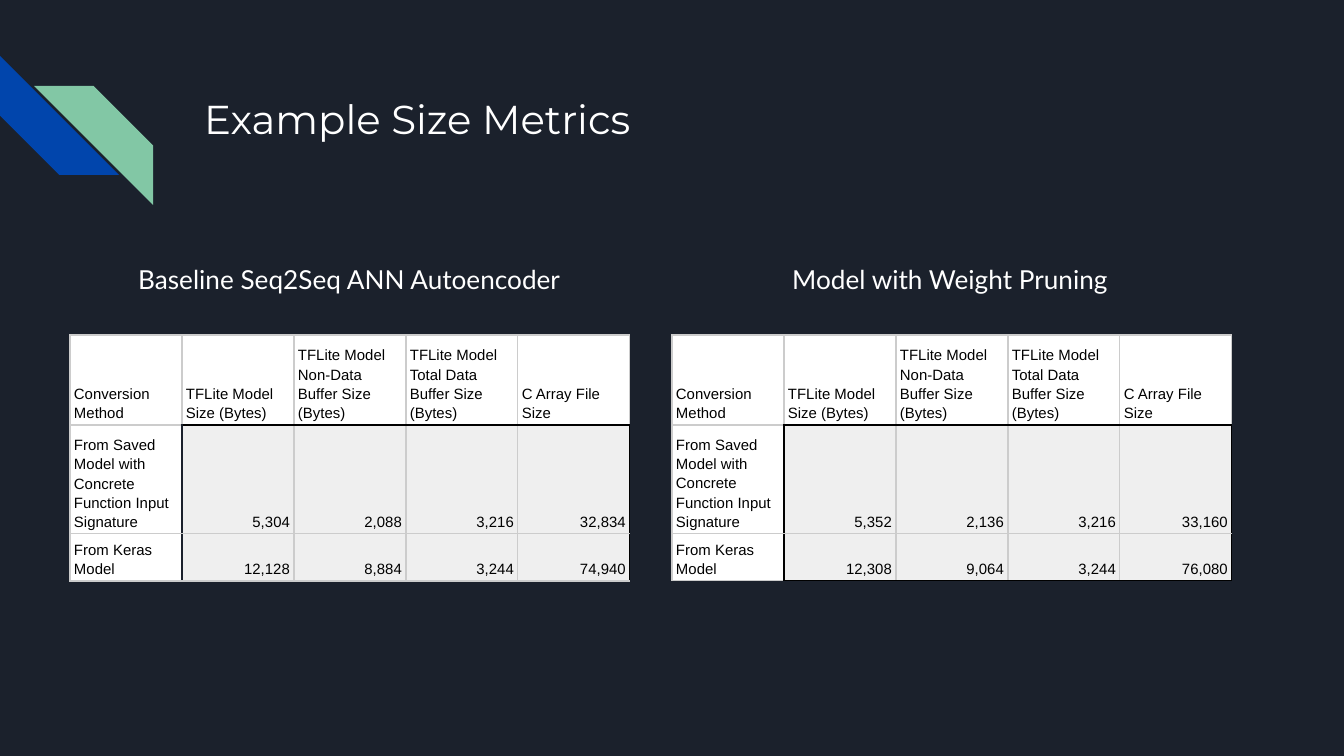
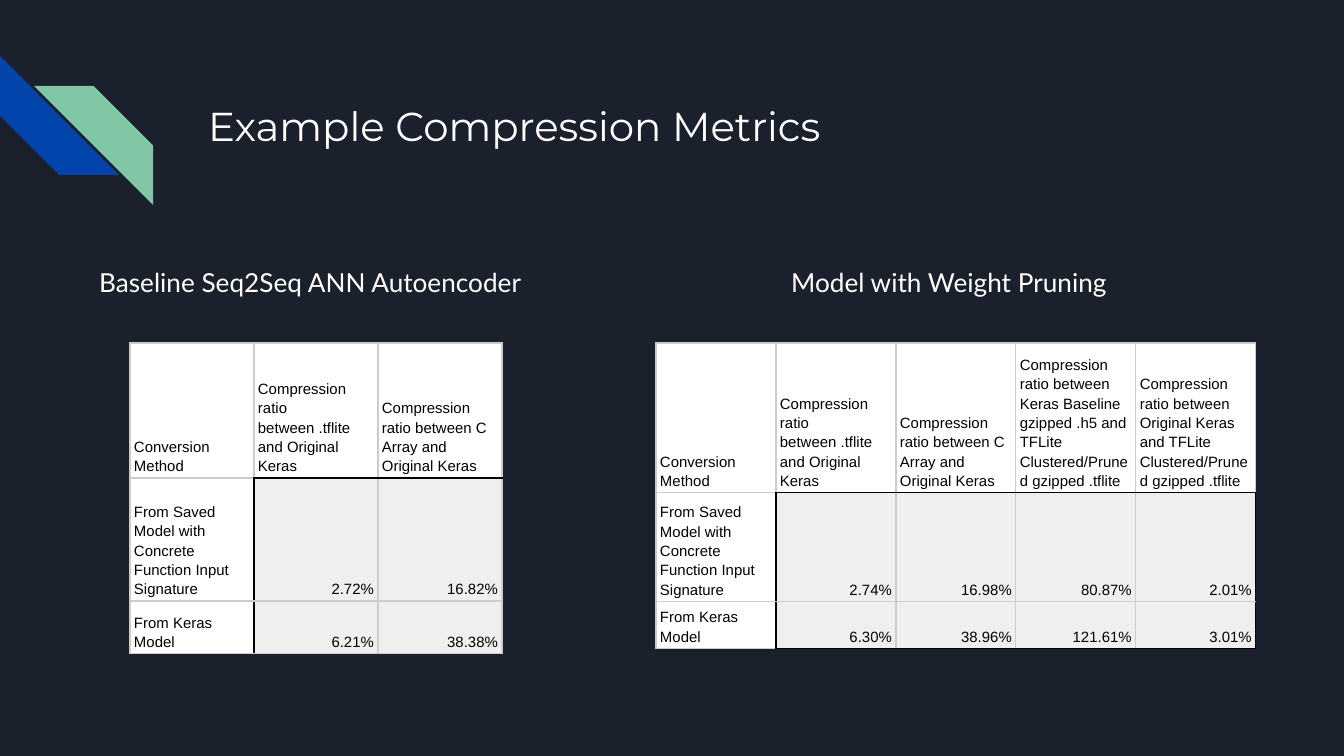
import lxml.etree
import pptx
import pptx.dml.color
import pptx.enum.shapes
import pptx.enum.text
import pptx.oxml.ns
import pptx.util

PX = 914400 / 134.4  # EMU in one pixel

RGBColor = pptx.dml.color.RGBColor
NAVY = RGBColor(0x1B, 0x21, 0x2C)
BLUE = RGBColor(0x01, 0x45, 0xAC)
GREEN = RGBColor(0x82, 0xC7, 0xA5)
WHITE = RGBColor(0xFF, 0xFF, 0xFF)
BLACK = RGBColor(0x00, 0x00, 0x00)
RULE = RGBColor(0xCC, 0xCC, 0xCC)
SHADE = RGBColor(0xEF, 0xEF, 0xEF)

METHOD = "Conversion Method"
SAVED_MODEL = "From Saved Model with Concrete Function Input Signature"
KERAS_MODEL = "From Keras Model"
BASELINE = "Baseline Seq2Seq ANN Autoencoder"
PRUNED = "Model with Weight Pruning"

SIZE_HEADER = [
    METHOD,
    "TFLite Model Size (Bytes)",
    "TFLite Model Non-Data Buffer Size (Bytes)",
    "TFLite Model Total Data Buffer Size (Bytes)",
    "C Array File Size",
]
RATIO_HEADER = [
    METHOD,
    "Compression ratio between .tflite and Original Keras",
    "Compression ratio between C Array and Original Keras",
]
GZIP_HEADER = [
    "Compression ratio between Keras Baseline gzipped .h5 and TFLite Clustered/Pruned gzipped .tflite",
    "Compression ratio between Original Keras and TFLite Clustered/Pruned gzipped .tflite",
]

# edges: colours right of the method column, right of the table, below the table
SLIDES = [
    {
        "title": ("Example Size Metrics", 191, 81),
        "heading_top": 250,
        "table_top": 335,
        "metrics": [
            {
                "heading": (PRUNED, 779, 346),
                "left": 672, "column": 112, "heights": [90, 102, 45],
                "edges": (BLACK, BLACK, BLACK),
                "rows": [
                    SIZE_HEADER,
                    [SAVED_MODEL, "5,352", "2,136", "3,216", "33,160"],
                    [KERAS_MODEL, "12,308", "9,064", "3,244", "76,080"],
                ],
            },
            {
                "heading": (BASELINE, 125, 450),
                "left": 70, "column": 112, "heights": [90, 109, 46],
                "edges": (NAVY, BLACK, RULE),
                "rows": [
                    SIZE_HEADER,
                    [SAVED_MODEL, "5,304", "2,088", "3,216", "32,834"],
                    [KERAS_MODEL, "12,128", "8,884", "3,244", "74,940"],
                ],
            },
        ],
    },
    {
        "title": ("Example Compression Metrics", 195, 88),
        "heading_top": 253,
        "table_top": 343,
        "metrics": [
            {
                "heading": (PRUNED, 778, 358),
                "left": 656, "column": 120, "heights": [141, 102, 44],
                "edges": (BLACK, BLACK, BLACK),
                "rows": [
                    RATIO_HEADER + GZIP_HEADER,
                    [SAVED_MODEL, "2.74%", "16.98%", "80.87%", "2.01%"],
                    [KERAS_MODEL, "6.30%", "38.96%", "121.61%", "3.01%"],
                ],
            },
            {
                "heading": (BASELINE, 86, 450),
                "left": 130, "column": 124, "heights": [135, 123, 53],
                "edges": (BLACK, RULE, RULE),
                "rows": [
                    RATIO_HEADER,
                    [SAVED_MODEL, "2.72%", "16.82%"],
                    [KERAS_MODEL, "6.21%", "38.38%"],
                ],
            },
        ],
    },
]


def px(length):
    return pptx.util.Emu(round(length * PX))


def add_label(slide, words, left, top, width, height, font, size):
    label = slide.shapes.add_textbox(px(left), px(top), px(width), px(height)).text_frame
    label.word_wrap = True
    label.margin_left = label.margin_right = pptx.util.Inches(0.1)
    label.margin_top = label.margin_bottom = pptx.util.Inches(0.1)
    run = label.paragraphs[0].add_run()
    run.text = words
    run.font.name = font
    run.font.size = pptx.util.Pt(size)
    run.font.color.rgb = WHITE


prs = pptx.Presentation()
prs.slide_width, prs.slide_height = px(1344), px(756)

for page in SLIDES:
    slide = prs.slides.add_slide(prs.slide_layouts[6])
    slide.background.fill.solid()
    slide.background.fill.fore_color.rgb = NAVY

    # Corner stripes
    for left, top, turn, colour in [(0, 56, 270, BLUE), (34, 86, 90, GREEN)]:
        stripe = slide.shapes.add_shape(
            pptx.enum.shapes.MSO_SHAPE.DIAGONAL_STRIPE, px(left), px(top), px(119), px(119))
        stripe.adjustments[0] = 0.5
        stripe.rotation = turn
        stripe.shadow.inherit = False
        stripe.fill.solid()
        stripe.fill.fore_color.rgb = colour
        stripe.line.fill.background()

    # Title
    title, left, top = page["title"]
    add_label(slide, title, left, top, 1035, 80, "Montserrat", 21.6)

    for metric in page["metrics"]:
        # Heading above the table
        heading, left, width = metric["heading"]
        add_label(slide, heading, left, page["heading_top"], width, 59, "Lato", 14)

        # Table
        rows, heights = metric["rows"], metric["heights"]
        last_row, last_col = len(rows) - 1, len(rows[0]) - 1
        grid = slide.shapes.add_table(
            len(rows), len(rows[0]), px(metric["left"]), px(page["table_top"]),
            px(metric["column"] * len(rows[0])), px(sum(heights))).table
        grid.first_row = grid.horz_banding = False
        for column in grid.columns:
            column.width = px(metric["column"])
        for row, height in zip(grid.rows, heights):
            row.height = px(height)

        method_edge, right_edge, bottom_edge = metric["edges"]
        for r, row in enumerate(rows):
            for c, words in enumerate(row):
                cell = grid.cell(r, c)
                is_value = r > 0 and c > 0

                # Cell borders
                borders = {"L": RULE, "R": RULE, "T": RULE, "B": RULE}
                if r > 0 and c == 0:
                    borders["R"] = method_edge
                if r > 0 and c == 1:
                    borders["L"] = method_edge
                if r == 0 and c > 0:
                    borders["B"] = BLACK
                if r == 1 and c > 0:
                    borders["T"] = BLACK
                if r > 0 and c == last_col:
                    borders["R"] = right_edge
                if r == last_row and c > 0:
                    borders["B"] = bottom_edge
                properties = cell._tc.get_or_add_tcPr()
                for side, colour in borders.items():
                    border = lxml.etree.SubElement(
                        properties, pptx.oxml.ns.qn("a:ln" + side), w=str(pptx.util.Pt(0.75)))
                    paint = lxml.etree.SubElement(border, pptx.oxml.ns.qn("a:solidFill"))
                    lxml.etree.SubElement(paint, pptx.oxml.ns.qn("a:srgbClr"), val=str(colour))

                # Cell fill and text
                cell.fill.solid()
                cell.fill.fore_color.rgb = SHADE if is_value else WHITE
                cell.margin_left = cell.margin_right = px(4)
                cell.margin_top = cell.margin_bottom = px(3)
                cell.vertical_anchor = pptx.enum.text.MSO_ANCHOR.BOTTOM
                paragraph = cell.text_frame.paragraphs[0]
                paragraph.line_spacing = 1.15
                if is_value:
                    paragraph.alignment = pptx.enum.text.PP_ALIGN.RIGHT
                run = paragraph.add_run()
                run.text = words
                run.font.name = "Arial"
                run.font.size = pptx.util.Pt(8)
                run.font.color.rgb = BLACK

prs.save("out.pptx")
